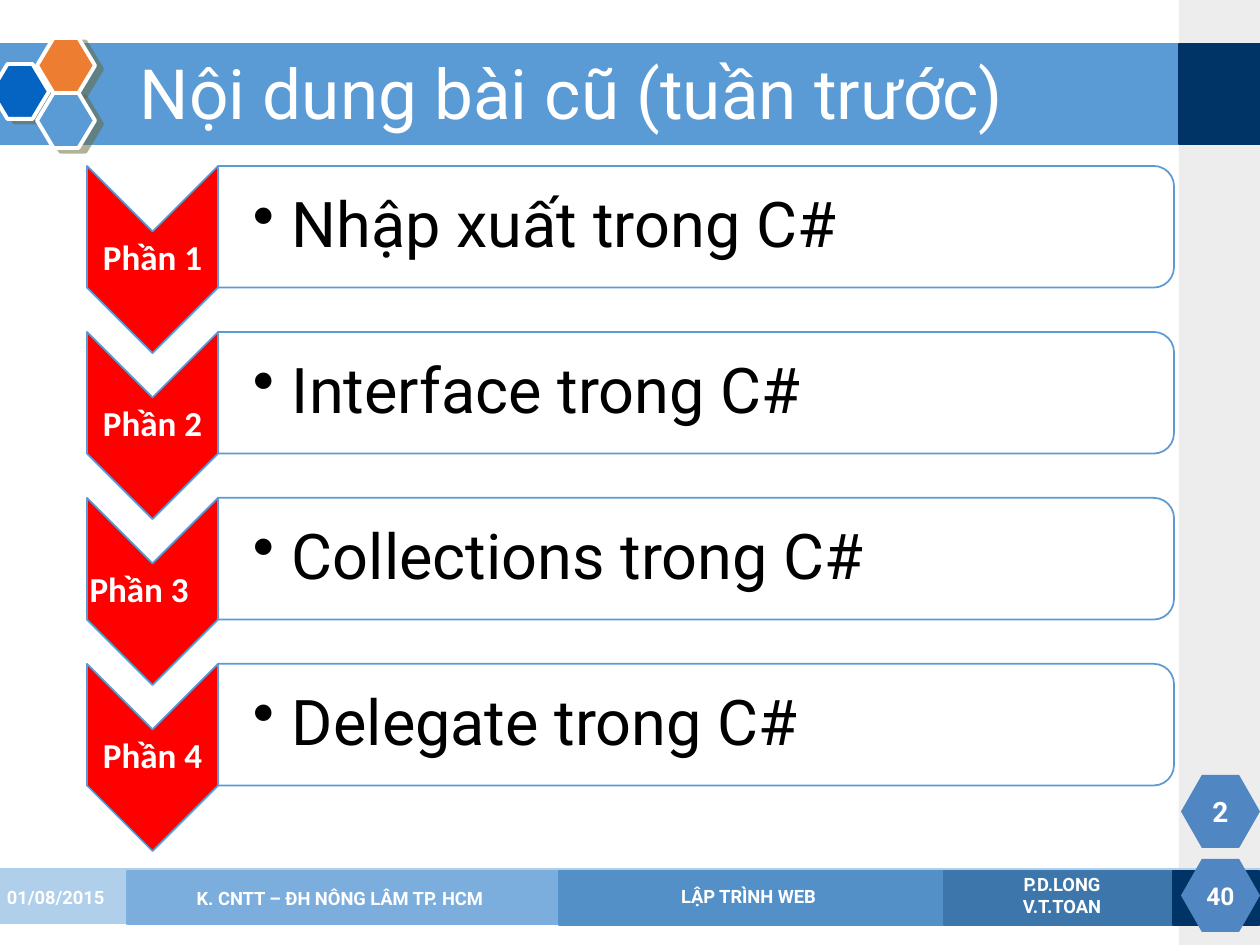
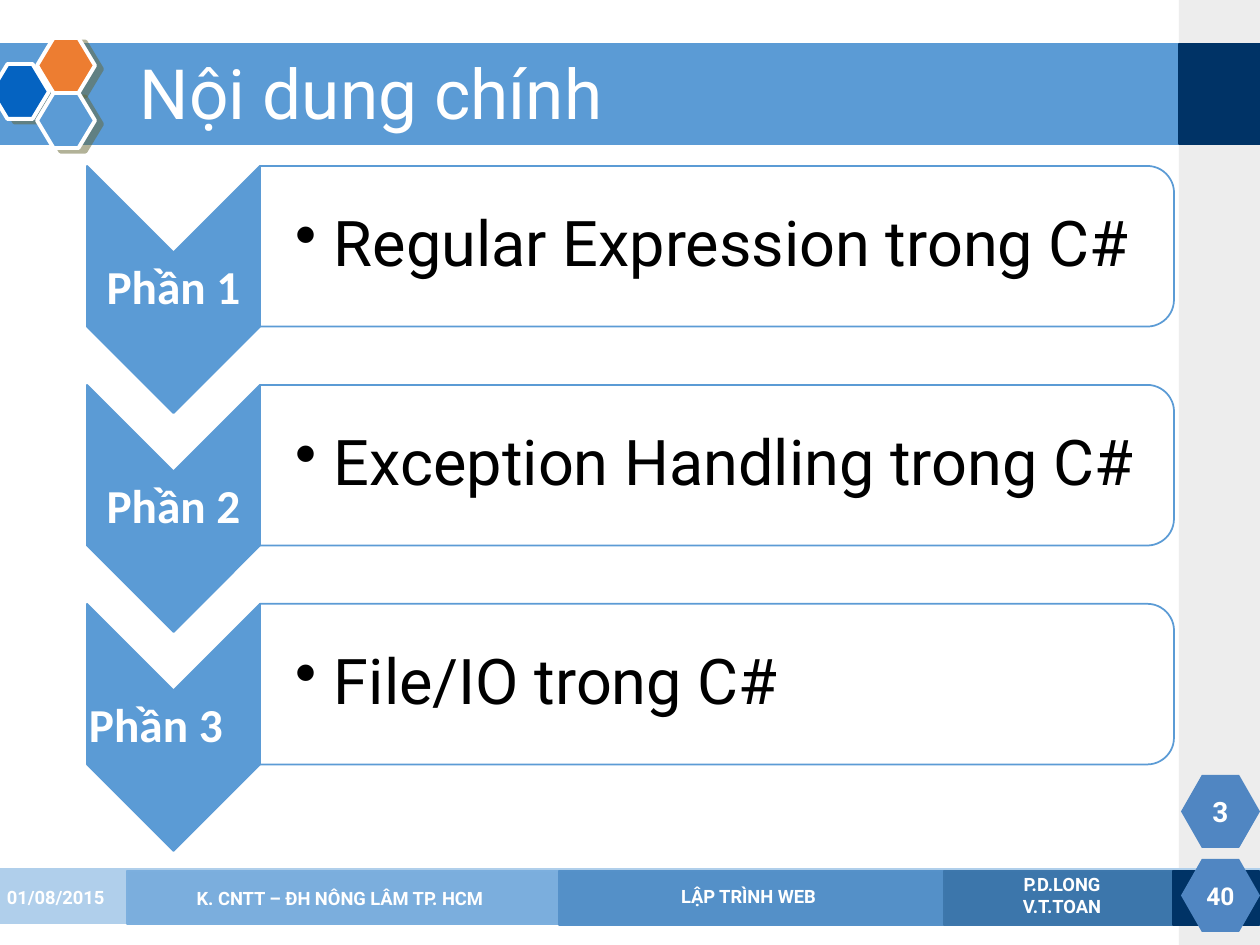
from lxml import etree
from pptx import Presentation
from pptx import util as u
from pptx.dml.color import RGBColor
from pptx.enum import shapes, text
from pptx.oxml.ns import qn

# Content
DECKS = [
    dict(title="Nội dung bài cũ (tuần trước)", page="2", fill="red", wide=131, size=20,
         parts=[("Phần 1", "Nhập xuất trong C#"),
                ("Phần 2", "Interface trong C#"),
                ("Phần 3\t", "Collections trong C#"),
                ("Phần 4", "Delegate trong C#")]),
    dict(title="Nội dung chính", page="3", fill="blue", wide=173, size=27,
         parts=[("Phần 1", "Regular Expression trong C#"),
                ("Phần 2", "Exception Handling trong C#"),
                ("Phần 3\t", "File/IO trong C#")]),
]
FOOTER = [  # text, box, alignment
    ("01/08/2015", (-6, 872, 139, 50), "l"),
    ("K. CNTT – ĐH NÔNG LÂM TP. HCM", (127, 873, 426, 50), "c"),
    ("LẬP TRÌNH WEB", (562, 879, 373, 35), "c"),
    ("P.D.LONG\nV.T.TOAN", (951, 870, 222, 50), "c"),
]
TOTAL = "40"

# Look
HUES = dict(white="FFFFFF", black="000000", red="FF0000", blue="5B9BD5", navy="003366",
            royal="0563C1", orange="ED7D31", badge="5086C2", grey="A7A7A7", olive="666633",
            foot1="7CAFDE", foot2="478FD1", foot3="2E74B4", foot4="255D8F",
            edge1="B0CFEB", edge2="7CAFDE", edge3="5591C9", edge4="3D77AC")
BANDS = [  # box, fill, opacity, line
    ((1179, 0, 81, 946), "grey", 20, None),
    ((-3, 869, 1263, 54), "foot1", 60, "edge1"),
    ((127, 871, 1130, 53), "foot2", 50, "edge2"),
    ((559, 871, 701, 54), "foot3", 50, "edge3"),
    ((944, 871, 315, 54), "foot4", 50, "edge4"),
    ((-3, 44, 1182, 100), "blue", 100, "blue"),
    ((1179, 44, 81, 100), "navy", 100, "navy"),
    ((1173, 871, 86, 54), "navy", 100, "navy"),
]
CELLS = [((-9, 64), "royal"), ((37, 38), "orange"), ((37, 93), "blue")]
BADGES = [(1181, 859, 79, 73), (1181, 775, 79, 73)]
LEFT, TOP, RIGHT, BOTTOM = 87, 166, 1174, 851  # area of the part list
ALIGN = dict(l=text.PP_ALIGN.LEFT, c=text.PP_ALIGN.CENTER)
KIND = shapes.MSO_SHAPE


def px(n):
    return u.Emu(round(n * 914400 / 126))


def rgb(hue):
    return RGBColor.from_string(HUES[hue])


def sub(node, tag, **attrs):
    return etree.SubElement(node, qn(tag), {k: str(v) for k, v in attrs.items()})


def shape(slide, kind, box, fill, line=None, width=1, alpha=100, adj=None, turn=False):
    x, y, w, h = box
    if turn:  # the box is where it shows after a quarter turn
        x, y, w, h = x + (w - h) / 2, y + (h - w) / 2, h, w
    item = slide.shapes.add_shape(kind, px(x), px(y), px(w), px(h))
    item.rotation = 90 if turn else 0
    item.shadow.inherit = False
    item.fill.solid()
    item.fill.fore_color.rgb = rgb(fill)
    if alpha < 100:
        hue = item.fill._xPr.find(qn("a:solidFill"))[0]
        sub(hue, "a:alpha", val=alpha * 1000)
    if line:
        item.line.color.rgb = rgb(line)
        item.line.width = u.Pt(width)
    else:
        item.line.fill.background()
    if adj:
        item.adjustments[0] = adj
    return item


def shade(item):
    cast = sub(item._element.spPr.find(qn("a:effectLst")), "a:outerShdw", blurRad=0,
               dist=u.Pt(4.5), dir=27 * 60000, algn="ctr", rotWithShape=0)
    sub(sub(cast, "a:srgbClr", val=HUES["olive"]), "a:alpha", val=50000)


def write(slide, words, box, size, hue="white", font="Roboto", bold=False, align="c",
          pad=(13, 6, 13, 6), gap=1.0, bullet=False):
    frame = slide.shapes.add_textbox(*map(px, box)).text_frame
    frame.word_wrap = True
    frame.vertical_anchor = text.MSO_ANCHOR.MIDDLE
    (frame.margin_left, frame.margin_top,
     frame.margin_right, frame.margin_bottom) = map(px, pad)
    for i, row in enumerate(words.split("\n")):
        para = frame.paragraphs[0] if i == 0 else frame.add_paragraph()
        para.alignment = ALIGN[align]
        para.line_spacing = gap
        if bullet:
            props = para._p.get_or_add_pPr()
            props.set("marL", str(px(39)))
            props.set("indent", str(-px(39)))
            sub(props, "a:buChar", char="•")
        run = para.add_run()
        run.text = row
        run.font.name, run.font.size, run.font.bold = font, u.Pt(size), bold
        run.font.color.rgb = rgb(hue)


def frame_page(slide, title, page):
    # Bands, hexagon cluster and page badges
    for box, fill, alpha, line in BANDS:
        shape(slide, KIND.RECTANGLE, box, fill, line, alpha=alpha)
    for spot, fill in CELLS:
        shade(shape(slide, KIND.HEXAGON, (*spot, 58, 55), fill, "white", 2.25, adj=0.3))
    for box, label, size in zip(BADGES, (TOTAL, page), (14, 16)):
        shape(slide, KIND.HEXAGON, box, "badge", adj=0.286)
        write(slide, label, box, size, bold=True)
    # Title and footer
    write(slide, title, (127, 50, 1046, 95), 39.6, align="l", gap=0.9)
    for words, box, align in FOOTER:
        write(slide, words, box, 10.5, bold=True, align=align)


def list_parts(slide, parts, wide, fill, size):
    tall, notch = wide / 0.7, wide / 2
    step = (BOTTOM - TOP - tall) / (len(parts) - 1)
    edge = LEFT + wide
    for i, (label, topic) in enumerate(parts):
        y = TOP + i * step
        panel = (edge, y, RIGHT - edge, tall - notch)
        shape(slide, KIND.CHEVRON, (LEFT, y, wide, tall), fill, "blue", turn=True)
        write(slide, label, (LEFT, y + notch, wide, tall - wide), size, font="Calibri",
              bold=True, pad=(2, 2, 2, 2), gap=0.9)
        shape(slide, KIND.ROUND_2_SAME_RECTANGLE, panel, "white", "blue", alpha=90, turn=True)
        write(slide, topic, panel, 36, hue="black", align="l", pad=(35, 4, 4, 4),
              gap=0.9, bullet=True)


def main():
    deck = Presentation()
    deck.slide_width, deck.slide_height = px(1260), px(945)
    for d in DECKS:
        slide = deck.slides.add_slide(deck.slide_layouts[6])
        frame_page(slide, d["title"], d["page"])
        list_parts(slide, d["parts"], d["wide"], d["fill"], d["size"])
    deck.save("out.pptx")


if __name__ == "__main__":
    main()
